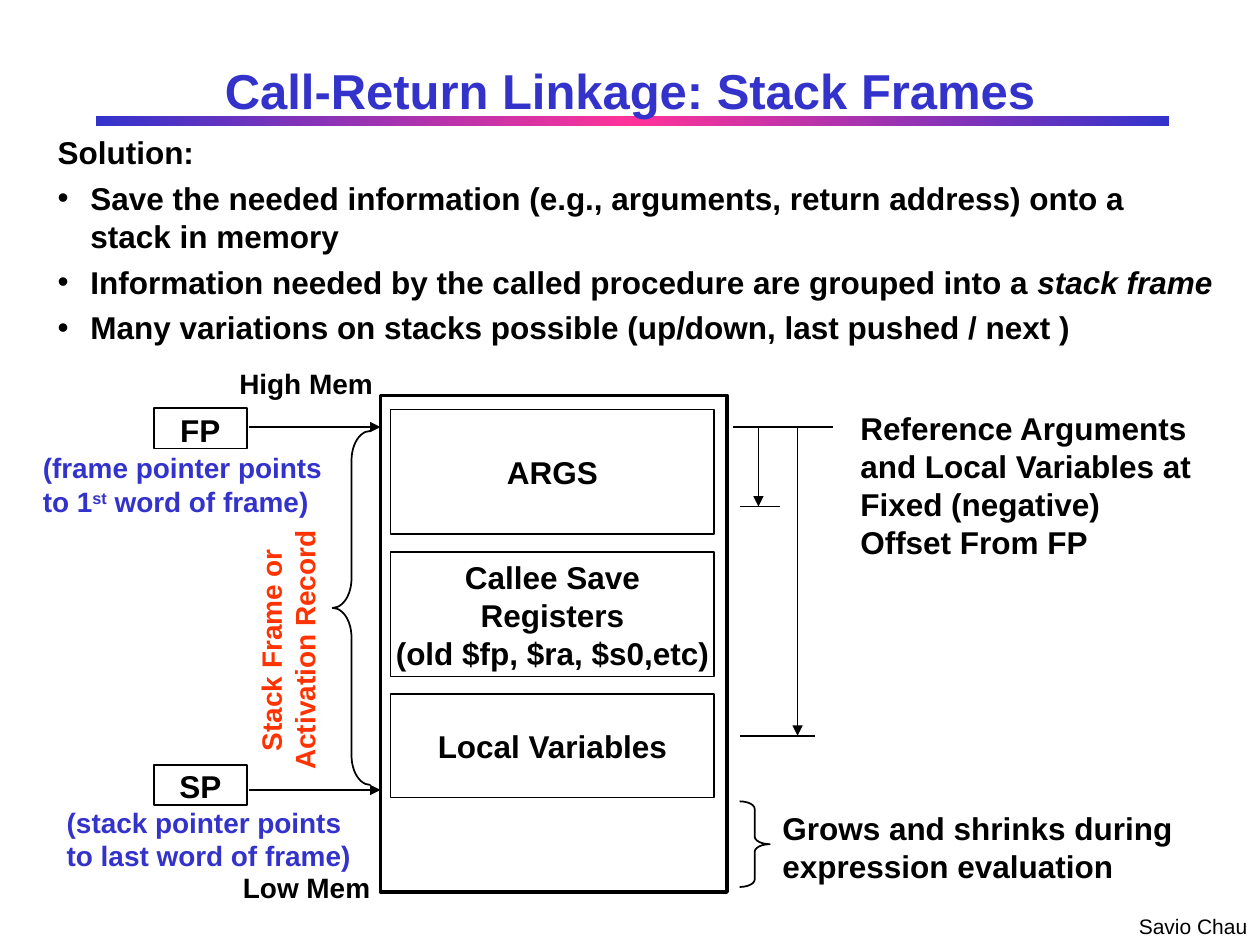
from lxml import etree
from pptx import Presentation
from pptx.dml.color import RGBColor
from pptx.enum import shapes, text
from pptx.oxml import parse_xml
from pptx.oxml.ns import nsdecls, qn
from pptx.util import Inches, Pt

BLACK = RGBColor(0x00, 0x00, 0x00)
BLUE = RGBColor(0x33, 0x33, 0xCC)
PINK = RGBColor(0xFF, 0x33, 0x99)
RED = RGBColor(0xFF, 0x33, 0x00)
LEFT, CENTER = text.PP_ALIGN.LEFT, text.PP_ALIGN.CENTER
TOP, MIDDLE = text.MSO_ANCHOR.TOP, text.MSO_ANCHOR.MIDDLE
PADDED, BARE = (0.1, 0.05), (0, 0)

# Content: a line is a string or a list of (words, style) spans
TITLE = "Call-Return Linkage: Stack Frames"
SOLUTION = [
    "Solution:",
    "Save the needed information (e.g., arguments, return address) onto a stack in memory",
    [("Information needed by the called procedure are grouped into a ", ""),
     ("stack frame", "italic")],
    "Many variations on stacks possible (up/down, last pushed / next )",
]
# Frame sections: top, height, side inset, anchor, lines
SECTION_LEFT, SECTION_WIDTH = 3.1, 2.57
SECTIONS = [
    (3.25, 0.99, 0.1, MIDDLE, ["ARGS"]),
    (4.38, 0.99, 0, TOP, ["Callee Save Registers", "(old $fp, $ra, $s0,etc)"]),
    (5.51, 0.82, 0.1, MIDDLE, ["Local Variables"]),
]
# Pointers: name, box top, arrow height
POINTERS = [("FP", 3.24, 3.39), ("SP", 6.07, 6.27)]
# Labels: place, lines, size, colour, margins, wrap
LABELS = [
    ((6.21, 6.42, 3.24, 0.6), ["Grows and shrinks during expression evaluation"],
     18, BLACK, BARE, True),
    ((6.73, 3.2, 2.84, 1.3),
     ["Reference Arguments", "and Local Variables at", "Fixed (negative)", "Offset From FP"],
     18, BLACK, PADDED, False),
    ((1.9, 2.91, 1.06, 0.27), ["High Mem"], 16, BLACK, BARE, False),
    ((1.83, 6.86, 1.21, 0.37), ["Low Mem"], 16, BLACK, PADDED, False),
    ((0.34, 3.58, 2.36, 0.53),
     [[("(frame pointer points to 1", ""), ("st", "super"), (" word of frame)", "")]],
     16, BLUE, BARE, True),
    ((0.53, 6.39, 2.4, 0.53), ["(stack pointer points to last word of frame)"],
     16, BLUE, BARE, True),
]
# Offset marks: from, to, arrow
OFFSETS = [
    ((5.82, 3.39), (6.61, 3.39), False),
    ((5.87, 4.02), (6.19, 4.02), False),
    ((5.87, 5.84), (6.47, 5.84), False),
    ((6.02, 3.39), (6.02, 4.02), True),
    ((6.33, 3.39), (6.33, 5.84), True),
]
# Braces: shape, place, curl as a share of the width
BRACES = [
    (shapes.MSO_SHAPE.LEFT_BRACE, (2.64, 3.42, 0.3, 2.81), 0.78),
    (shapes.MSO_SHAPE.RIGHT_BRACE, (5.87, 6.36, 0.24, 0.68), 0.25),
]

deck = Presentation()
deck.slide_width, deck.slide_height = Inches(10), Inches(7.5)
page = deck.slides.add_slide(deck.slide_layouts[5])


def inches(values):
    return [Inches(value) for value in values]


def write(box, lines, size, color=BLACK, align=LEFT, anchor=TOP,
          margins=PADDED, wrap=True, bold=True):
    frame = box.text_frame
    frame.word_wrap = wrap
    frame.vertical_anchor = anchor
    frame.margin_left = frame.margin_right = Inches(margins[0])
    frame.margin_top = frame.margin_bottom = Inches(margins[1])
    for index, line in enumerate(lines):
        para = frame.paragraphs[0] if index == 0 else frame.add_paragraph()
        para.alignment = align
        para.font.name, para.font.size = "Arial", Pt(size)
        para.font.bold, para.font.color.rgb = bold, color
        for words, style in [(line, "")] if isinstance(line, str) else line:
            span = para.add_run()
            span.text = words
            if style == "italic":
                span.font.italic = True
            elif style == "super":
                span.font._element.set("baseline", "30000")


def add_label(place, lines, size, color=BLACK, margins=PADDED, wrap=True, **style):
    box = page.shapes.add_textbox(*inches(place))
    write(box, lines, size, color, margins=margins, wrap=wrap, **style)
    return box


def add_outline(kind, place, width=1):
    shape = page.shapes.add_shape(kind, *inches(place))
    shape.shadow.inherit = False
    shape.fill.background()
    shape.line.color.rgb, shape.line.width = BLACK, Pt(width)
    return shape


def add_line(start, end, arrow):
    line = page.shapes.add_connector(
        shapes.MSO_CONNECTOR.STRAIGHT, *inches(start), *inches(end))
    line.line.color.rgb, line.line.width = BLACK, Pt(1)
    if arrow:
        etree.SubElement(line.line._get_or_add_ln(), qn("a:tailEnd"), type="triangle")
    etree.SubElement(line._element.spPr, qn("a:effectLst"))


# Title over its gradient bar
title = page.shapes.title
title.left, title.top, title.width, title.height = inches((0.75, 0.42, 8.5, 0.58))
write(title, [TITLE], 28, BLUE, CENTER, MIDDLE)

bar = add_outline(shapes.MSO_SHAPE.RECTANGLE, (0.76, 0.92, 8.52, 0.08))
bar.line.fill.background()
stops = "".join(
    f'<a:gs pos="{position}"><a:srgbClr val="{color}"/></a:gs>'
    for position, color in [(0, BLUE), (50000, PINK), (100000, BLUE)])
no_fill = bar._element.spPr.find(qn("a:noFill"))
bar._element.spPr.replace(no_fill, parse_xml(
    f'<a:gradFill {nsdecls("a")}><a:gsLst>{stops}</a:gsLst><a:lin ang="0"/></a:gradFill>'))
page.shapes._spTree.insert(2, bar._element)

# Solution list
solution = add_label((0.36, 1.01, 9.37, 1.64), SOLUTION, 18)
for para in solution.text_frame.paragraphs[1:]:
    para.space_before = Pt(4.5)
    props = para._p.get_or_add_pPr()
    props.set("marL", str(Inches(0.26)))
    props.set("indent", str(Inches(-0.26)))
    defaults = props.find(qn("a:defRPr"))
    defaults.addprevious(etree.Element(qn("a:buFont"), typeface="Arial"))
    defaults.addprevious(etree.Element(qn("a:buChar"), char="•"))

# Memory block and its sections
RECT = shapes.MSO_SHAPE.RECTANGLE
add_outline(RECT, (3.02, 3.14, 2.75, 3.94), 2)
for top, height, inset, anchor, lines in SECTIONS:
    section = add_outline(RECT, (SECTION_LEFT, top, SECTION_WIDTH, height))
    write(section, lines, 18, align=CENTER, anchor=anchor, margins=(inset, 0.05))

# Pointers into the block
for name, top, level in POINTERS:
    pointer = add_outline(RECT, (1.22, top, 0.74, 0.32))
    write(pointer, [name], 18, align=CENTER, margins=(0.1, 0.02))
    add_line((1.98, level), (3.02, level), True)

# Offsets and braces
for start, end, arrow in OFFSETS:
    add_line(start, end, arrow)
for kind, place, curl in BRACES:
    add_outline(kind, place).adjustments[0] = curl

# Labels
for label in LABELS:
    add_label(*label)
# The side margins are dropped so that each line fits the turned box
record = add_label((1.24, 4.84, 2.09, 0.64), ["Stack Frame or", "Activation Record"],
                   16, RED, margins=(0, 0.05), align=CENTER)
record.rotation = 270
add_label((8.94, 7.2, 1.06, 0.3), ["Savio Chau"], 12, wrap=False, bold=False)

deck.save("out.pptx")
